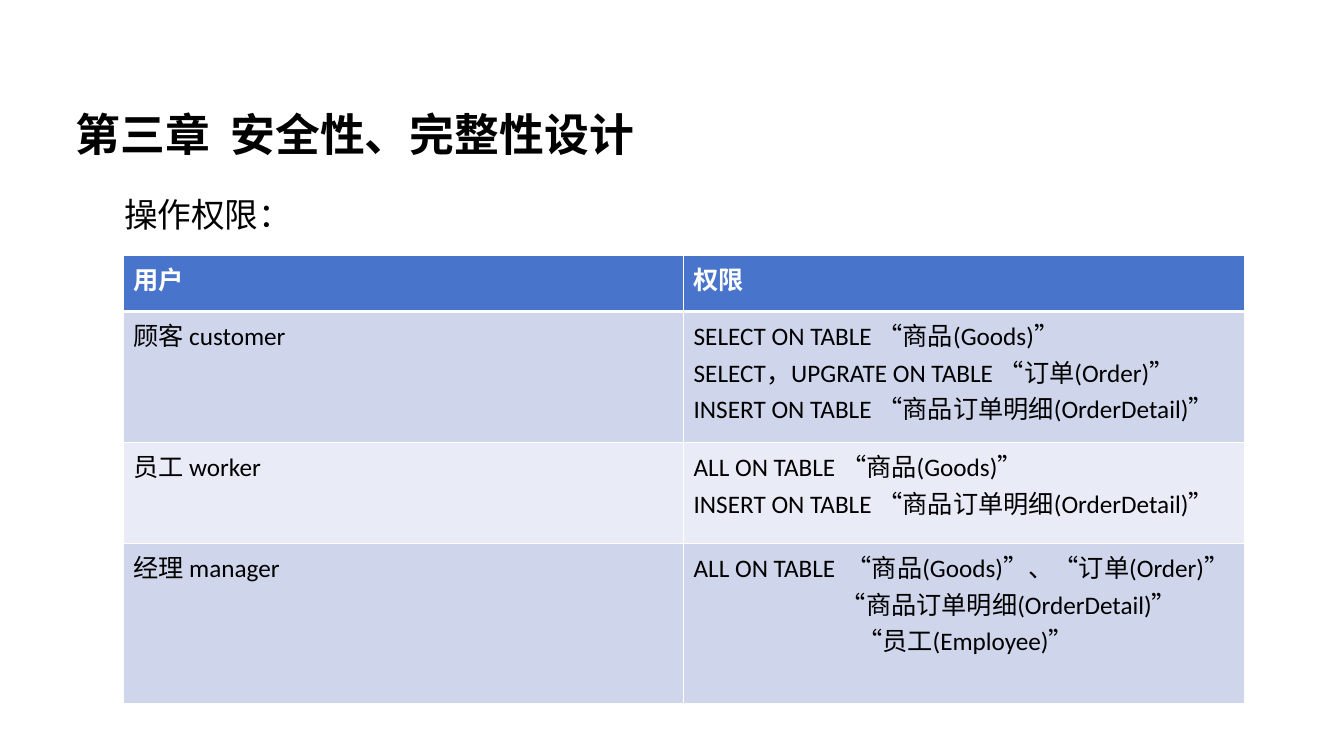
from dataclasses import dataclass

from lxml.etree import SubElement
from pptx import Presentation
from pptx.dml.color import RGBColor
from pptx.enum.lang import MSO_LANGUAGE_ID
from pptx.enum.text import MSO_ANCHOR, PP_ALIGN
from pptx.oxml.ns import qn
from pptx.util import Inches, Pt

BLACK = RGBColor(0x00, 0x00, 0x00)
WHITE = RGBColor(0xFF, 0xFF, 0xFF)
HEADER_BLUE = RGBColor(0x48, 0x74, 0xCB)
BAND_DARK = RGBColor(0xCF, 0xD6, 0xEC)
BAND_LIGHT = RGBColor(0xE9, 0xEB, 0xF6)
LATIN_FONT = "Calibri"
CHINESE_FONT = "Noto Sans CJK SC"


@dataclass(frozen=True)
class PermissionRow:
    user: str
    grants: tuple[str, ...]
    height: float
    indents: tuple[float, ...] = ()


HEADER = PermissionRow("用户", ("权限",), 0.56)
PERMISSIONS = (
    PermissionRow(
        "顾客 customer",
        (
            "SELECT ON TABLE “商品(Goods)”",
            "SELECT，UPGRATE ON TABLE “订单(Order)”",
            "INSERT ON TABLE “商品订单明细(OrderDetail)”",
        ),
        1.3,
    ),
    PermissionRow(
        "员工 worker",
        ("ALL ON TABLE “商品(Goods)”", "INSERT ON TABLE “商品订单明细(OrderDetail)”"),
        1.0,
    ),
    PermissionRow(
        "经理 manager",
        (
            "ALL ON TABLE  “商品(Goods)”、“订单(Order)”",
            "“商品订单明细(OrderDetail)”",
            "“员工(Employee)”",
        ),
        1.59,
        (0, 1.46, 1.62),
    ),
)


def format_text(frame, size: float, color: RGBColor, bold: bool = False,
                latin: str = LATIN_FONT) -> None:
    for paragraph in frame.paragraphs:
        paragraph.alignment = PP_ALIGN.LEFT
        for run in paragraph.runs:
            font = run.font
            font.size, font.bold, font.name = Pt(size), bold, latin
            font.color.rgb = color
            font.language_id = MSO_LANGUAGE_ID.SIMPLIFIED_CHINESE
            SubElement(font._element, qn("a:ea"), typeface=CHINESE_FONT)


def place_text(placeholder, text: str, left: float, top: float, width: float, height: float) -> None:
    placeholder.left, placeholder.top = Inches(left), Inches(top)
    placeholder.width, placeholder.height = Inches(width), Inches(height)
    frame = placeholder.text_frame
    frame.text = text
    frame.word_wrap = True
    frame.vertical_anchor = MSO_ANCHOR.TOP


def remove_bullet(paragraph) -> None:
    properties = paragraph._p.get_or_add_pPr()
    properties.set("marL", "0")
    properties.set("indent", "0")
    SubElement(properties, qn("a:buNone"))


def add_border(cell, side: str, width: float) -> None:
    """Draw a white line on one side; call before the cell is filled."""
    line = SubElement(cell._tc.get_or_add_tcPr(), qn(f"a:{side}"), w=str(Pt(width)))
    SubElement(SubElement(line, qn("a:solidFill")), qn("a:srgbClr"), val=str(WHITE))


def fill_row(table, index: int, row: PermissionRow, fill: RGBColor,
             color: RGBColor, bold: bool) -> None:
    table.rows[index].height = Inches(row.height)
    for column, text in enumerate((row.user, "\n".join(row.grants))):
        cell = table.cell(index, column)
        cell.text_frame.text = text
        cell.margin_right = Inches(0.05)
        for side in ("lnL", "lnR", "lnT", "lnB"):
            at_header_edge = (index, side) in ((0, "lnB"), (1, "lnT"))
            add_border(cell, side, 3 if at_header_edge else 1)
        cell.fill.solid()
        cell.fill.fore_color.rgb = fill
        format_text(cell.text_frame, 18, color, bold)
    for paragraph, indent in zip(table.cell(index, 1).text_frame.paragraphs, row.indents):
        paragraph._p.get_or_add_pPr().set("marL", str(Inches(indent)))


def main() -> None:
    presentation = Presentation()
    presentation.slide_width, presentation.slide_height = Inches(13.33), Inches(7.5)
    slide = presentation.slides.add_slide(presentation.slide_layouts[1])

    chapter, topic = slide.shapes.title, slide.placeholders[1]
    place_text(chapter, "第三章  安全性、完整性设计", 0.65, 1.01, 12.04, 0.75)
    format_text(chapter.text_frame, 32, BLACK, True, CHINESE_FONT)
    place_text(topic, "操作权限：", 1.13, 1.87, 11.2, 0.6)
    format_text(topic.text_frame, 24, BLACK)
    topic.text_frame.paragraphs[0].space_before = Pt(0)
    remove_bullet(topic.text_frame.paragraphs[0])

    rows = (HEADER, *PERMISSIONS)
    table = slide.shapes.add_table(
        len(rows), 2, Inches(1.22), Inches(2.53), Inches(11.12),
        Inches(sum(row.height for row in rows)),
    ).table
    for column in table.columns:
        column.width = Inches(5.56)
    fill_row(table, 0, HEADER, HEADER_BLUE, WHITE, True)
    for index, row in enumerate(PERMISSIONS, start=1):
        fill_row(table, index, row, BAND_DARK if index % 2 else BAND_LIGHT, BLACK, False)

    presentation.save("out.pptx")


if __name__ == "__main__":
    main()
